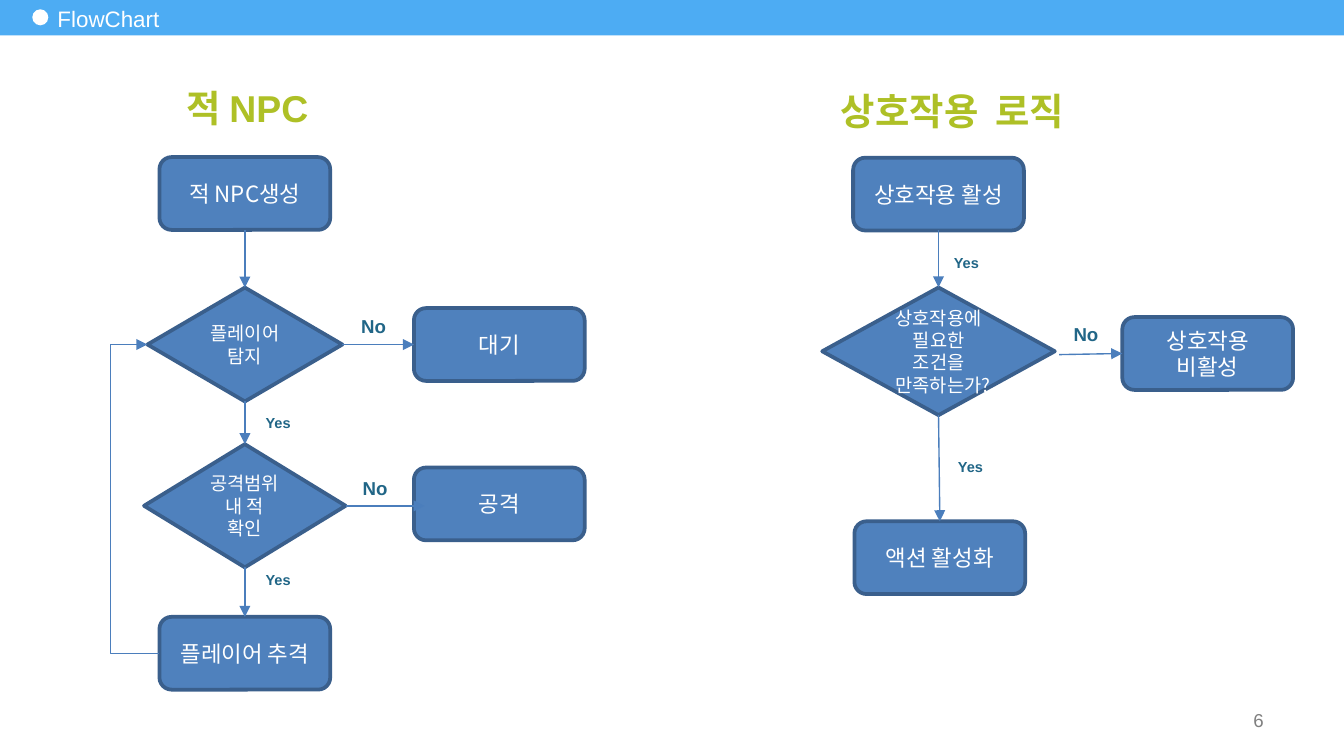
from lxml.etree import SubElement
from pptx import Presentation
from pptx.dml.color import RGBColor
from pptx.enum.shapes import MSO_CONNECTOR as CONN, MSO_SHAPE as SHAPE
from pptx.enum.text import MSO_ANCHOR as ANCHOR, PP_ALIGN as ALIGN
from pptx.oxml.ns import qn
from pptx.util import Pt

KOREAN = "Noto Sans CJK KR"
TOP, LEFT, BOTTOM, RIGHT = range(4)
NODE_W, NODE_H = 91.5, 39


def color(hex_code):
    """Turn a hex string into a colour."""
    return RGBColor.from_string(hex_code)


def put_text(sp, text, size=12, font="Arial", fg="FFFFFF", bold=False,
             align=ALIGN.LEFT, anchor=ANCHOR.TOP, inset=(6.3, 3)):
    """Write one formatted paragraph into a shape."""
    tf = sp.text_frame
    tf.word_wrap, tf.vertical_anchor = True, anchor
    tf.margin_left = tf.margin_right = Pt(inset[0])
    tf.margin_top = tf.margin_bottom = Pt(inset[1])
    p = tf.paragraphs[0]
    p.alignment = align
    r = p.add_run()
    r.text = text
    r.font.size, r.font.name, r.font.bold = Pt(size), font, bold
    r.font.color.rgb = color(fg)
    SubElement(r._r.get_or_add_rPr(), qn("a:ea")).set("typeface", KOREAN)


def add_label(s, text, x, y, w, h, **fmt):
    """Add a text box."""
    put_text(s.shapes.add_textbox(Pt(x), Pt(y), Pt(w), Pt(h)), text, **fmt)


def add_block(s, kind, x, y, w, h, fill, line=None):
    """Add a flat preset shape."""
    sp = s.shapes.add_shape(kind, Pt(x), Pt(y), Pt(w), Pt(h))
    sp.shadow.inherit = False
    sp.fill.solid()
    sp.fill.fore_color.rgb = color(fill)
    if line:
        sp.line.color.rgb, sp.line.width = color(line), Pt(2)
    else:
        sp.line.fill.background()
    return sp


def add_step(s, text, cx, cy, w=NODE_W, h=NODE_H, kind=SHAPE.ROUNDED_RECTANGLE, size=12):
    """Add a flowchart node around its centre."""
    sp = add_block(s, kind, cx - w / 2, cy - h / 2, w, h, "4F81BD", "3A5F8C")
    put_text(sp, text, size, KOREAN, align=ALIGN.CENTER, anchor=ANCHOR.MIDDLE, inset=(7.2, 3.6))
    return sp


def add_decision(s, text, cx, cy, w, h):
    """Add a decision diamond around its centre."""
    return add_step(s, text, cx, cy, w, h, SHAPE.FLOWCHART_DECISION, 10)


def side_point(sp, side):
    """Return the middle of a side of a shape."""
    dx, dy = ((1, 0), (0, 1), (1, 2), (2, 1))[side]
    return sp.left + sp.width * dx // 2, sp.top + sp.height * dy // 2


def add_arrow(s, start, end, kind=CONN.STRAIGHT, bend=None):
    """Join two ends, each a (shape, side) pair or a plain (x, y) point."""
    joined = [hasattr(e[0], "shape_id") for e in (start, end)]
    points = [side_point(*e) if j else (Pt(e[0]), Pt(e[1]))
              for e, j in zip((start, end), joined)]
    c = s.shapes.add_connector(kind, *points[0], *points[1])
    if joined[0]:
        c.begin_connect(*start)
    if joined[1]:
        c.end_connect(*end)
    c.line.color.rgb, c.line.width = color("4B7EBC"), Pt(0.75)
    SubElement(c.line._get_or_add_ln(), qn("a:tailEnd")).set("type", "triangle")
    SubElement(c._element.spPr, qn("a:effectLst"))
    if bend:
        guide = SubElement(c._element.spPr.find(qn("a:prstGeom")).find(qn("a:avLst")), qn("a:gd"))
        guide.set("name", "adj1")
        guide.set("fmla", f"val {bend}")


def add_header(s):
    """Draw the top bar with its dot and title."""
    add_block(s, SHAPE.RECTANGLE, 0, -1.4, 720, 20.4, "4DACF3")
    add_block(s, SHAPE.OVAL, 17.3, 5, 8.6, 8.6, "FFFFFF")
    add_label(s, "FlowChart", 24.5, -0.7, 223, 21, anchor=ANCHOR.MIDDLE)


def add_enemy_flow(s):
    """Draw the enemy NPC flow."""
    cx, side_x = 131.2, 267.5
    spawn = add_step(s, "적 NPC생성", cx, 103.7)
    detect = add_decision(s, "플레이어 탐지", cx, 184.6, 104.4, 61)
    wait = add_step(s, "대기", side_x, 184.6)
    chase = add_step(s, "플레이어 추격", cx, 350)
    in_range = add_decision(s, "공격범위내 적 확인", cx, 271, 108, 66)
    add_step(s, "공격", side_x, 270)
    for upper, lower in ((spawn, detect), (detect, in_range), (in_range, chase)):
        add_arrow(s, (upper, BOTTOM), (lower, TOP))
    add_arrow(s, (detect, RIGHT), (wait, LEFT))
    add_arrow(s, (in_range, RIGHT), (227.5, 271))
    add_arrow(s, (chase, LEFT), (detect, LEFT), CONN.ELBOW, 406200)


def add_interaction_flow(s):
    """Draw the interaction flow."""
    cx = 502.8
    active = add_step(s, "상호작용 활성", cx, 104)
    check = add_decision(s, "상호작용에 필요한 조건을 만족하는가?", cx, 188.2, 124.6, 68.4)
    inactive = add_step(s, "상호작용 비활성", 647, 189.4)
    action = add_step(s, "액션 활성화", 503.5, 298.8)
    add_arrow(s, (active, BOTTOM), (check, TOP))
    add_arrow(s, (check, BOTTOM), (action, TOP))
    add_arrow(s, (567.4, 190), (inactive, LEFT))


def main():
    """Build the slide."""
    prs = Presentation()
    prs.slide_width, prs.slide_height = Pt(720), Pt(405)
    s = prs.slides.add_slide(prs.slide_layouts[6])
    add_header(s)
    add_enemy_flow(s)
    add_interaction_flow(s)
    for text, x, y in (("적 NPC", 93.6, 42.5), ("상호작용  로직", 444.2, 44)):
        add_label(s, text, x, y, 144, 26, size=20, fg="AEC026", bold=True)
    for x, y in ((187.2, 165.6), (188, 252.7), (568.8, 170)):
        add_label(s, "No", x, y, 30.2, 18, size=10, fg="216687", bold=True)
    for x, y in ((136, 219), (504.7, 133.2), (136, 303.1), (506.9, 242.6)):
        add_label(s, "Yes", x, y, 28, 20, size=7.8, fg="216687", bold=True)
    add_label(s, "6", 516.2, 375.1, 167.8, 21.6, size=10, fg="808080",
              align=ALIGN.RIGHT, anchor=ANCHOR.MIDDLE, inset=(7.2, 3.6))
    prs.save("out.pptx")


if __name__ == "__main__":
    main()
